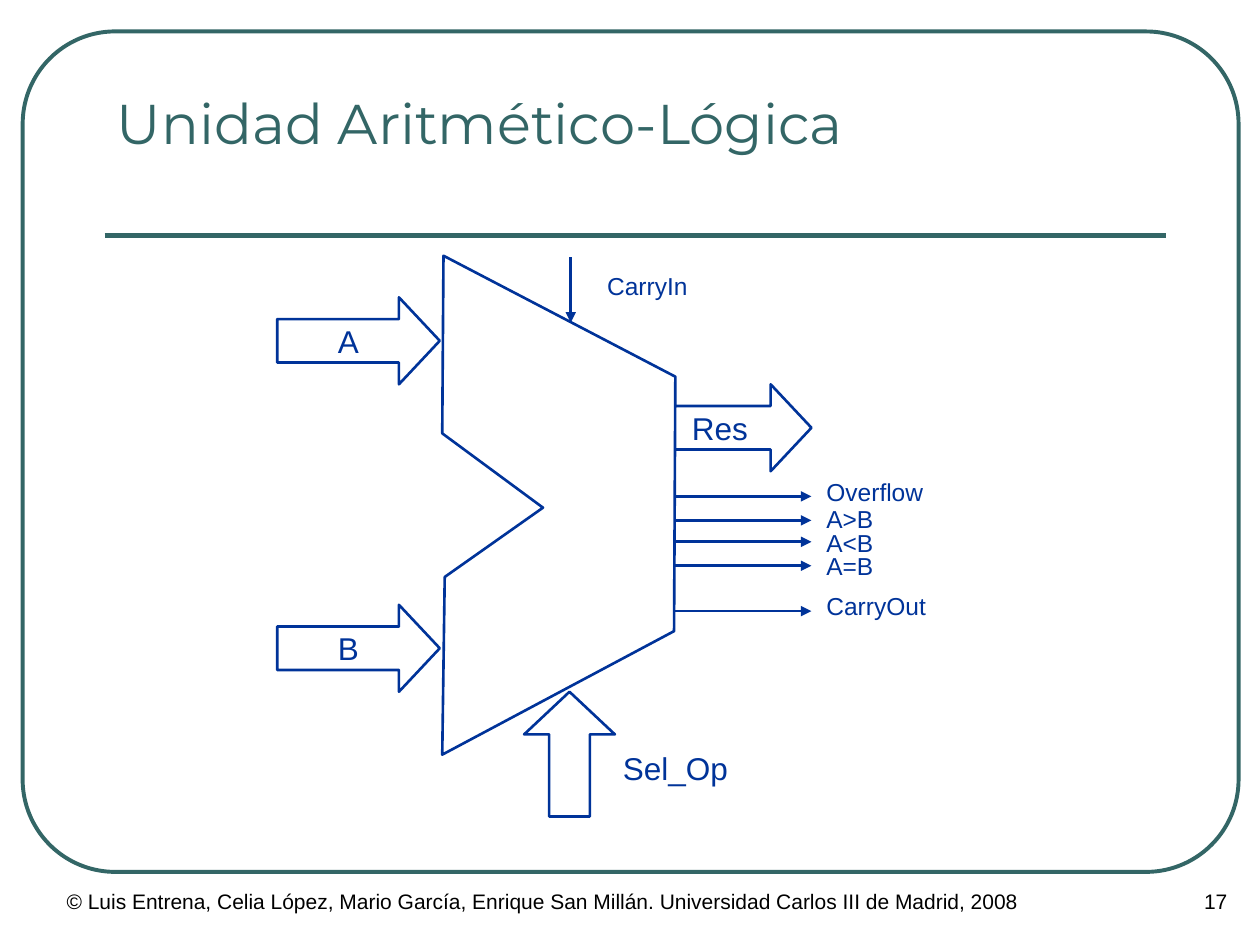
from lxml import etree
from pptx import Presentation
from pptx import util as u
from pptx.dml.color import RGBColor
from pptx.enum import shapes, text
from pptx.oxml.ns import qn

GREEN, BLUE, WHITE, BLACK = "336666", "003399", "FFFFFF", "000000"
SHAPE = shapes.MSO_SHAPE
ALIGN = text.PP_ALIGN
ANCHOR = text.MSO_ANCHOR


def colour(value):
    return RGBColor.from_string(value)


def style(shape, line, width, fill=None):
    shape.shadow.inherit = False
    if fill:
        shape.fill.solid()
        shape.fill.fore_color.rgb = colour(fill)
    else:
        shape.fill.background()
    if line:
        shape.line.color.rgb = colour(line)
        shape.line.width = u.Pt(width)
    else:
        shape.line.fill.background()


def write(shape, words, size, ink, align=ALIGN.LEFT, anchor=ANCHOR.MIDDLE,
          font="Arial", wrap=False):
    frame = shape.text_frame
    frame.word_wrap = wrap
    frame.vertical_anchor = anchor
    para = frame.paragraphs[0]
    para.alignment = align
    span = para.add_run()
    span.text = words
    span.font.size = u.Pt(size)
    span.font.name = font
    span.font.color.rgb = colour(ink)


def add_box(page, kind, left, top, width, height, adjust=()):
    shape = page.shapes.add_shape(kind, *map(u.Inches, (left, top, width, height)))
    for index, value in enumerate(adjust):
        shape.adjustments[index] = value
    return shape


def add_label(page, words, left, top, width, height, size=14, ink=BLUE, **options):
    label = page.shapes.add_textbox(*map(u.Inches, (left, top, width, height)))
    write(label, words, size, ink, **options)
    return label


def add_line(page, x1, y1, x2, y2, ink, width, arrow=False):
    line = page.shapes.add_connector(
        shapes.MSO_CONNECTOR.STRAIGHT, *map(u.Inches, (x1, y1, x2, y2)))
    line.line.color.rgb = colour(ink)
    line.line.width = u.Pt(width)
    if arrow:
        outline = line.line._get_or_add_ln()
        etree.SubElement(outline, qn("a:tailEnd"), type="triangle")
    etree.SubElement(line._element.spPr, qn("a:effectLst"))


def add_frame(page, left, top, width, height):
    # Rounded border and the rule under the title
    border = add_box(page, SHAPE.ROUNDED_RECTANGLE, left, top, width, height, [0.11])
    style(border, GREEN, 2.25)
    rule = top + 1.62
    add_line(page, left + 0.65, rule, left + 9.07, rule, GREEN, 3)


def add_footer(page, left, top, width, height):
    number_width = 0.9
    add_label(page, "© Luis Entrena, Celia López, Mario García, Enrique San Millán. "
              "Universidad Carlos III de Madrid, 2008",
              left, top, 8.5, height, 12, BLACK, anchor=ANCHOR.TOP, wrap=True)
    add_label(page, "17", left + width - number_width, top, number_width, height,
              12, BLACK, align=ALIGN.RIGHT, anchor=ANCHOR.TOP, wrap=True)


def add_title(page, left, top, width, height):
    title = add_label(page, "Unidad Aritmético-Lógica", left, top, width, height,
                      32, GREEN, anchor=ANCHOR.BOTTOM, font="Montserrat", wrap=True)
    title.text_frame.margin_bottom = u.Inches(0.59)


def add_unit(page, left, top, width, height):
    right = left + width
    label_width, label_height = 1.28, 0.47

    # Operand and result arrows
    for words, x, y in (("A", left - 1.31, 0.33), ("B", left - 1.31, 2.77),
                        ("Res", right - 0.21, 1.02)):
        arrow = add_box(page, SHAPE.RIGHT_ARROW, x, top + y, 1.29, 0.69, [0.5, 0.469])
        style(arrow, BLUE, 1.5, WHITE)
        write(arrow, words, 18, BLUE, align=ALIGN.CENTER)

    # Notched body
    outline = [(0.01, 0), (width, 0.96), (width - 0.01, 2.98), (0, height),
               (0.02, 2.55), (0.8, 2), (0, 1.41)]
    points = [(u.Inches(left + x), u.Inches(top + y)) for x, y in outline]
    builder = page.shapes.build_freeform(*points[0])
    builder.add_line_segments(points[1:], close=True)
    style(builder.convert_to_shape(), BLUE, 1.5, WHITE)

    # Operation selector
    selector = add_box(page, SHAPE.UP_ARROW, left + 0.65, top + 3.46, 0.72, 0.99,
                       [0.448, 0.47])
    style(selector, BLUE, 1.5, WHITE)
    caption = add_box(page, SHAPE.RECTANGLE, left + 1.21, top + 3.83,
                      label_width, label_height)
    style(caption, None, 0, WHITE)
    write(caption, "Sel_Op", 18, BLUE, align=ALIGN.CENTER)

    # Flag outputs: line height and label centre, both from the top of the body
    for words, line_y, label_y in (
            ("Overflow", 1.91, 1.87), ("A>B", 2.1, 2.09), ("A<B", 2.27, 2.28),
            ("A=B", 2.46, 2.46), ("CarryOut", 2.82, 2.78)):
        add_line(page, right, top + line_y, right + 1.08, top + line_y, BLUE, 1.5, True)
        add_label(page, words, right + 1.1, top + label_y - label_height / 2,
                  label_width, label_height)

    # Carry input
    carry = left + 1.02
    add_line(page, carry, top + 0.01, carry, top + 0.53, BLUE, 1.5, True)
    add_label(page, "CarryIn", left + 1.21, top, label_width, label_height)


def main():
    deck = Presentation()
    deck.slide_width, deck.slide_height = u.Inches(10), u.Inches(7.5)
    page = deck.slides.add_slide(deck.slide_layouts[6])
    add_frame(page, 0.18, 0.25, 9.65, 6.67)
    add_footer(page, 0.43, 7, 9.41, 0.5)
    add_title(page, 0.83, 0.58, 8.42, 1.25)
    add_unit(page, 3.51, 2.03, 1.85, 3.96)
    deck.save("out.pptx")


if __name__ == "__main__":
    main()
